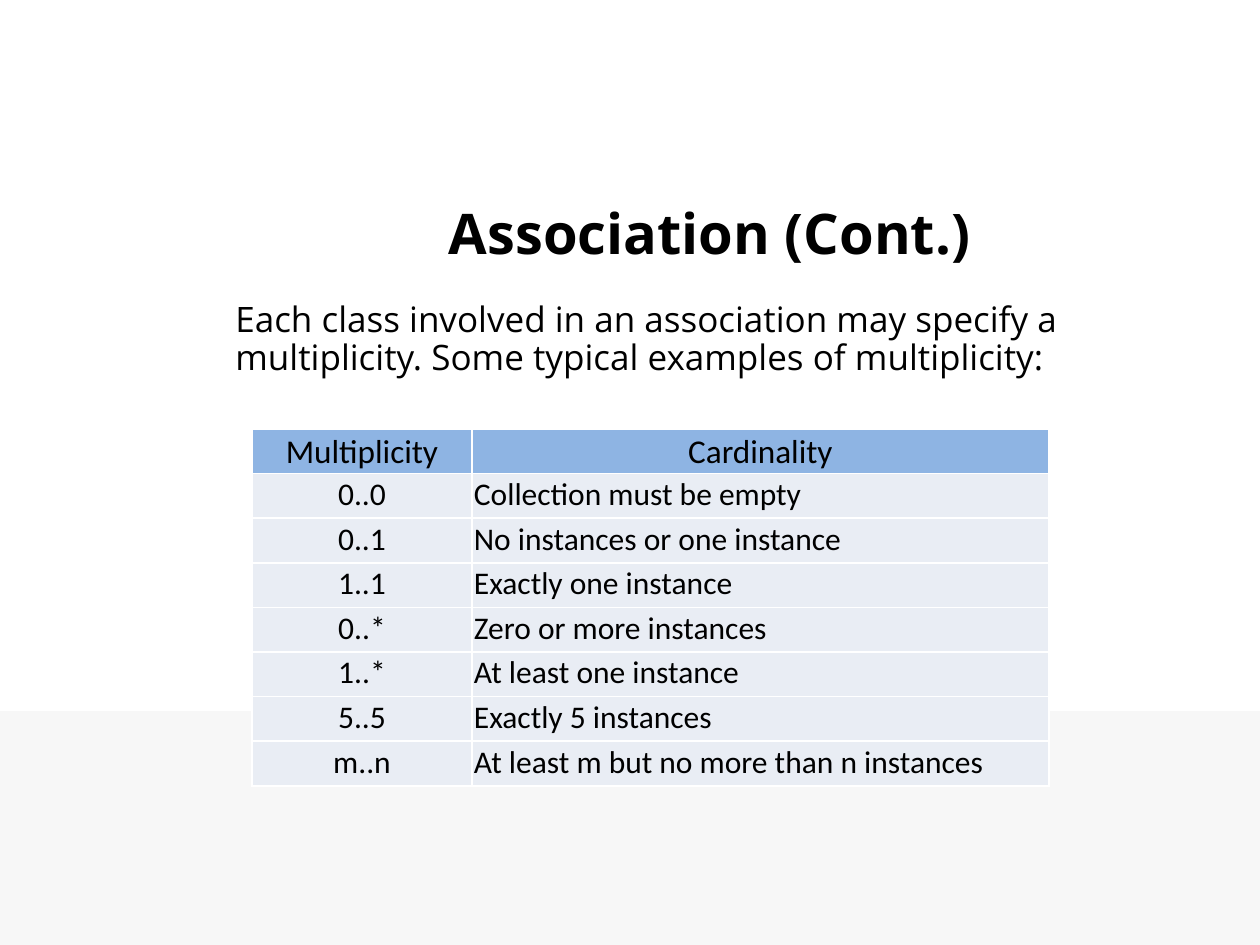
from dataclasses import dataclass

from lxml import etree
from pptx import Presentation
from pptx.dml.color import RGBColor
from pptx.enum.shapes import MSO_SHAPE
from pptx.enum.text import MSO_ANCHOR, PP_ALIGN
from pptx.oxml.ns import qn
from pptx.util import Pt

LEFT, CENTER = PP_ALIGN.LEFT, PP_ALIGN.CENTER
TOP, MIDDLE = MSO_ANCHOR.TOP, MSO_ANCHOR.MIDDLE
RECT = MSO_SHAPE.RECTANGLE

BLACK = RGBColor(0x00, 0x00, 0x00)
WHITE = RGBColor(0xFF, 0xFF, 0xFF)
GREY = RGBColor(0xF7, 0xF7, 0xF7)
BLUE = RGBColor(0x8E, 0xB4, 0xE3)
PALE = RGBColor(0xE9, 0xED, 0xF4)

SCALE = 914400 / 126
WIDTH, HEIGHT = 1260, 945
BAND_TOP = 711


@dataclass
class Box:
    left: int
    top: int
    width: int
    height: int

    def place(self) -> list[int]:
        return [px(n) for n in (self.left, self.top, self.width, self.height)]


@dataclass
class Style:
    size: int
    face: str
    bold: bool = False
    align: PP_ALIGN = LEFT
    anchor: MSO_ANCHOR = TOP
    lines: float = 1.0


@dataclass
class Label:
    box: Box
    text: str
    style: Style


LABELS = [
    Label(Box(223, 154, 974, 157), "Association (Cont.)",
          Style(32, "Open Sans", True, CENTER, MIDDLE)),
    Label(Box(223, 296, 974, 607),
          "Each class involved in an association may specify a "
          "multiplicity. Some typical examples of multiplicity:",
          Style(20, "Open Sans", lines=0.9)),
]

GRID = Box(252, 429, 797, 357)
COLUMNS = [220, 577]
HEAD = Style(19, "Calibri", align=CENTER, anchor=MIDDLE)
CODE = Style(18, "Calibri", align=CENTER)
NOTE = Style(18, "Calibri")
ROWS = [
    ("Multiplicity", "Cardinality"),
    ("0..0", "Collection must be empty"),
    ("0..1", "No instances or one instance"),
    ("1..1", "Exactly one instance"),
    ("0..*", "Zero or more instances"),
    ("1..*", "At least one instance"),
    ("5..5", "Exactly 5 instances"),
    ("m..n", "At least m but no more than n instances"),
]


def px(count: float) -> int:
    return round(count * SCALE)


def apply(target, values: dict) -> None:
    for name, value in values.items():
        setattr(target, name, value)


def write(frame, text: str, style: Style) -> None:
    para = frame.paragraphs[0]
    para.text = text
    apply(para, {"alignment": style.align, "line_spacing": style.lines})
    apply(para.font, {"size": Pt(style.size), "name": style.face,
                      "bold": style.bold})
    para.font.color.rgb = BLACK


def draw_band(slide) -> None:
    box = Box(0, BAND_TOP, WIDTH, HEIGHT - BAND_TOP)
    band = slide.shapes.add_shape(RECT, *box.place())
    band.shadow.inherit = False
    band.fill.solid()
    band.fill.fore_color.rgb = GREY
    band.line.fill.background()


def draw_label(slide, label: Label) -> None:
    frame = slide.shapes.add_textbox(*label.box.place()).text_frame
    apply(frame, {"word_wrap": True, "vertical_anchor": label.style.anchor})
    write(frame, label.text, label.style)


def edge(cell) -> None:
    """Give the cell a thin white border on all four sides."""
    props = cell._tc.get_or_add_tcPr()
    for spot, side in enumerate(("a:lnL", "a:lnR", "a:lnT", "a:lnB")):
        line = etree.Element(qn(side), w=str(Pt(1)))
        fill = etree.SubElement(line, qn("a:solidFill"))
        etree.SubElement(fill, qn("a:srgbClr"), val=str(WHITE))
        props.insert(spot, line)


def fill_cell(cell, text: str, style: Style, color: RGBColor) -> None:
    apply(cell, {"margin_left": px(2), "margin_right": px(2),
                 "margin_top": px(2), "margin_bottom": 0,
                 "vertical_anchor": style.anchor})
    cell.fill.solid()
    cell.fill.fore_color.rgb = color
    write(cell.text_frame, text, style)
    edge(cell)


def draw_table(slide) -> None:
    table = slide.shapes.add_table(
        len(ROWS), len(COLUMNS), *GRID.place()).table
    table.horz_banding = False
    for column, width in zip(table.columns, COLUMNS):
        column.width = px(width)
    for index, (row, texts) in enumerate(zip(table.rows, ROWS)):
        row.height = px(GRID.height / len(ROWS))
        styles = (CODE, NOTE) if index else (HEAD, HEAD)
        color = PALE if index else BLUE
        for cell, text, style in zip(row.cells, texts, styles):
            fill_cell(cell, text, style, color)


def main() -> None:
    deck = Presentation()
    apply(deck, {"slide_width": px(WIDTH), "slide_height": px(HEIGHT)})
    slide = deck.slides.add_slide(deck.slide_layouts[6])
    draw_band(slide)
    for label in LABELS:
        draw_label(slide, label)
    draw_table(slide)
    deck.save("out.pptx")


if __name__ == "__main__":
    main()
